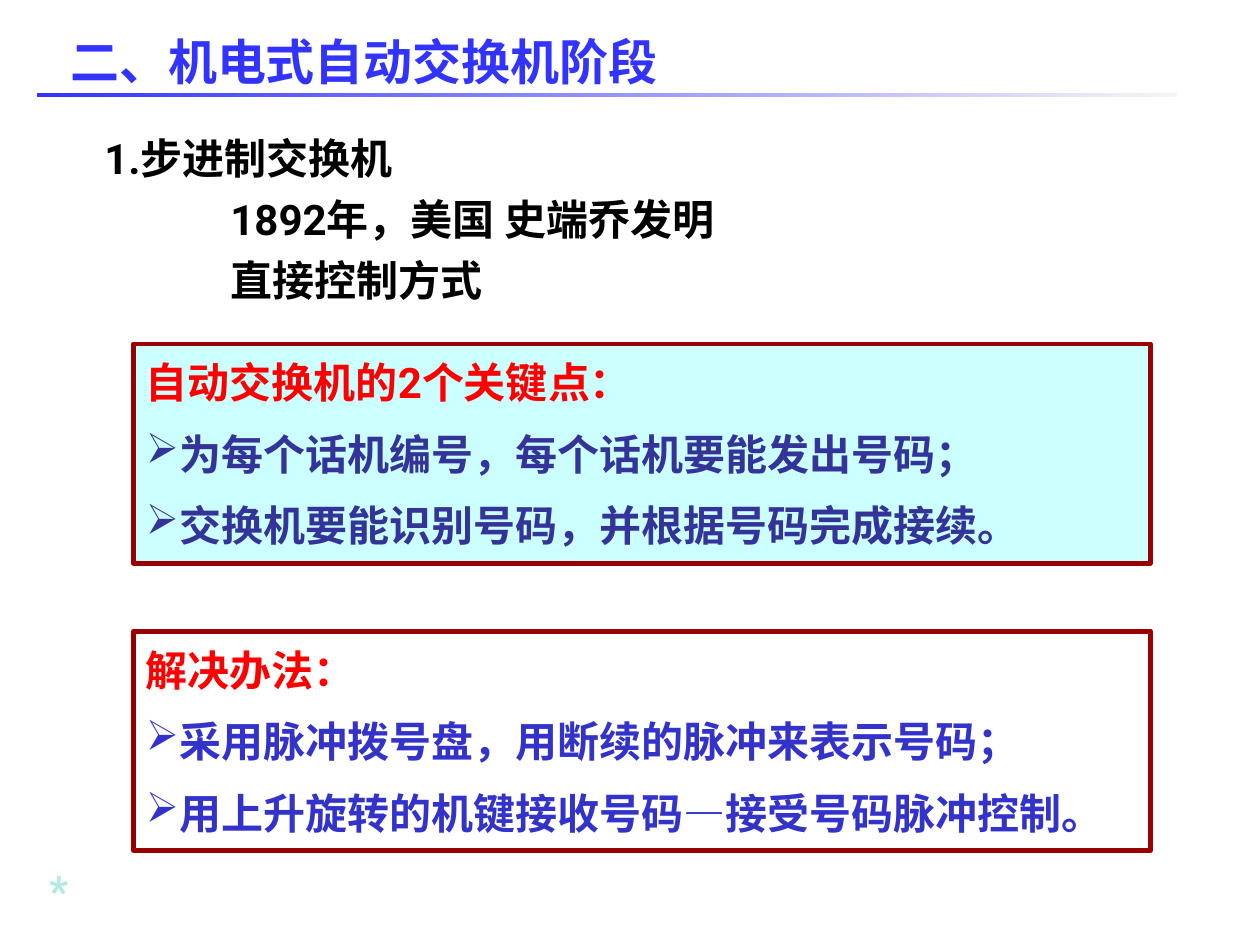
from dataclasses import dataclass
from typing import Optional

from lxml.etree import SubElement
from pptx import Presentation
from pptx.dml.color import RGBColor as RGB
from pptx.enum.shapes import MSO_SHAPE as Shape
from pptx.enum.text import MSO_AUTO_SIZE as AutoSize, PP_ALIGN as Align
from pptx.oxml.ns import qn
from pptx.util import Inches, Pt


@dataclass(frozen=True)
class Theme:
    font: str = "Roboto"
    serif: str = "Times New Roman"
    title_size: int = 28
    body_size: int = 24
    title: str = "3333FF"
    rule_end: str = "F5F5F5"
    body: str = "000000"
    heading: str = "FF0000"
    key_points: str = "333399"
    solutions: str = "3333CC"
    border: str = "990000"
    key_fill: str = "CCFFFF"
    white: str = "FFFFFF"
    footer: str = "B4EAE2"


THEME = Theme()


@dataclass(frozen=True)
class Area:
    left: float
    top: float
    width: float
    height: float

    def lengths(self) -> list:
        return [Inches(n) for n in (self.left, self.top, self.width, self.height)]


@dataclass(frozen=True)
class Line:
    """One paragraph; runs listed in serif_runs take the serif font."""
    runs: tuple
    color: str
    size: int = THEME.body_size
    font: str = THEME.font
    serif_runs: tuple = ()
    space_before: float = 0
    bullet: Optional[str] = None
    tab: Optional[float] = None
    align: Align = Align.LEFT


@dataclass(frozen=True)
class Panel:
    top: float
    fill: str
    heading: str
    color: str
    points: tuple


PANELS = (
    Panel(2.73, THEME.key_fill, "自动交换机的2个关键点：", THEME.key_points, (
        ("为每个话机编号，每个话机要能发出号码；",),
        ("交换机要能识别号码，并根据号码完成接续。",))),
    Panel(5.01, THEME.white, "解决办法：", THEME.solutions, (
        ("采用脉冲拨号盘，用断续的脉冲来表示号码；",),
        ("用上升旋转的机键接收号码", "—", "接受号码脉冲控制。"))),
)


def set_attributes(target, values: dict) -> None:
    for name, value in values.items():
        setattr(target, name, value)


def add_paragraph_marks(paragraph, line: Line) -> None:
    """Add the bullet or the tab stop."""
    properties = paragraph._p.get_or_add_pPr()
    if line.bullet:
        set_values = {"marL": "0", "indent": "0"}
        for name, value in set_values.items():
            properties.set(name, value)
        SubElement(properties, qn("a:buChar"), char=line.bullet)
    if line.tab:
        tabs = SubElement(properties, qn("a:tabLst"))
        SubElement(tabs, qn("a:tab"), pos=str(Inches(line.tab)), algn="l")


def write_lines(frame, lines: list, wrap: bool = True) -> None:
    set_attributes(frame, {"word_wrap": wrap, "auto_size": AutoSize.NONE})
    for index, line in enumerate(lines):
        paragraph = frame.add_paragraph() if index else frame.paragraphs[0]
        add_paragraph_marks(paragraph, line)
        set_attributes(paragraph, {"alignment": line.align,
                                   "space_before": Pt(line.space_before)})
        for text in line.runs:
            run = paragraph.add_run()
            run.text = text
            name = THEME.serif if text in line.serif_runs else line.font
            set_attributes(run.font, {"name": name, "size": Pt(line.size), "bold": True})
            run.font.color.rgb = RGB.from_string(line.color)


def add_text(slide, area: Area, lines: list, wrap: bool = True) -> None:
    write_lines(slide.shapes.add_textbox(*area.lengths()).text_frame, lines, wrap)


def add_title_rule(slide) -> None:
    rule = slide.shapes.add_shape(Shape.RECTANGLE, *Area(0.29, 0.74, 9.05, 0.03).lengths())
    rule.shadow.inherit = False
    rule.line.fill.background()
    rule.fill.gradient()
    rule.fill.gradient_angle = 0
    for stop, color in zip(rule.fill.gradient_stops, (THEME.title, THEME.rule_end)):
        stop.color.rgb = RGB.from_string(color)


def add_panel(slide, panel: Panel) -> None:
    shape = slide.shapes.add_shape(Shape.RECTANGLE, *Area(1.06, panel.top, 8.07, 1.74).lengths())
    shape.shadow.inherit = False
    shape.fill.solid()
    shape.fill.fore_color.rgb = RGB.from_string(panel.fill)
    shape.line.color.rgb = RGB.from_string(THEME.border)
    shape.line.width = Pt(2.75)
    points = [Line(runs, panel.color, serif_runs=("—",), space_before=12, bullet="➢")
              for runs in panel.points]
    write_lines(shape.text_frame, [Line((panel.heading,), THEME.heading), *points])


def main() -> None:
    presentation = Presentation()
    set_attributes(presentation, {"slide_width": Inches(10), "slide_height": Inches(7.5)})
    slide = presentation.slides.add_slide(presentation.slide_layouts[6])

    add_title_rule(slide)
    details = [Line((text,), THEME.body, space_before=6, tab=1)
               for text in ("\t1892年，美国 史端乔发明", "\t直接控制方式")]
    add_text(slide, Area(0.73, 1, 7.21, 1.5), [Line(("1.步进制交换机",), THEME.body), *details])
    for panel in PANELS:
        add_panel(slide, panel)
    add_text(slide, Area(0.26, 6.81, 0.41, 0.5), [Line(("*",), THEME.footer, align=Align.CENTER)])
    add_text(slide, Area(0.46, 0.2, 4.87, 0.57),
             [Line(("二、机电式自动交换机阶段",), THEME.title, THEME.title_size, THEME.serif)],
             wrap=False)
    presentation.save("out.pptx")


if __name__ == "__main__":
    main()
